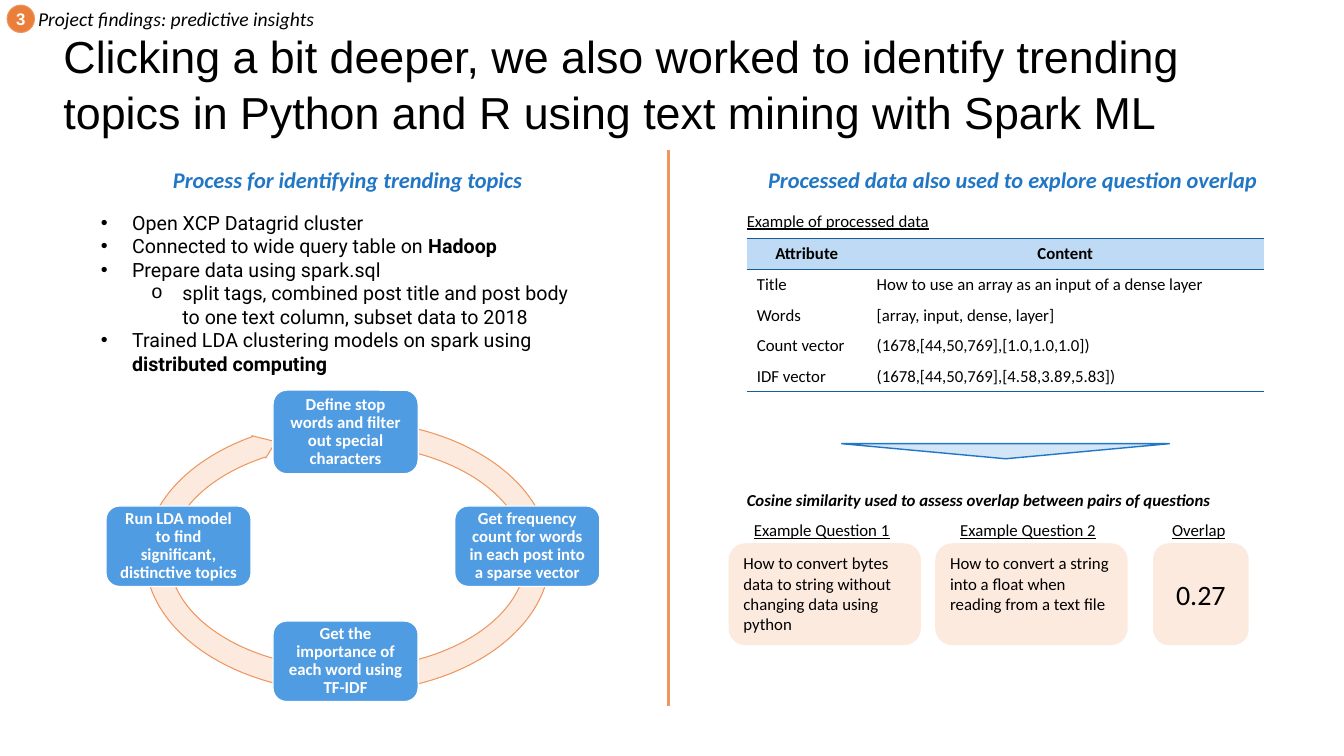
from dataclasses import dataclass

from lxml.etree import SubElement
from pptx import Presentation
from pptx.dml.color import RGBColor
from pptx.enum.shapes import MSO_CONNECTOR as Line, MSO_SHAPE as Kind
from pptx.enum.text import MSO_ANCHOR as Anchor, MSO_AUTO_SIZE as Fit, PP_ALIGN as Align
from pptx.oxml.ns import qn
from pptx.util import Cm, Pt

BLACK = RGBColor(0x00, 0x00, 0x00)
WHITE = RGBColor(0xFF, 0xFF, 0xFF)
BLUE = RGBColor(0x21, 0x76, 0xC5)
NAVY = RGBColor(0x19, 0x5C, 0x99)
SKY = RGBColor(0x50, 0x9C, 0xE2)
PALE = RGBColor(0xD3, 0xE6, 0xF8)
HEADER = RGBColor(0xBE, 0xDA, 0xF4)
ORANGE = RGBColor(0xEE, 0x96, 0x5E)
BADGE = RGBColor(0xEA, 0x7F, 0x3B)
PEACH = RGBColor(0xFC, 0xEA, 0xDF)


@dataclass
class Box:
    left: float
    top: float
    width: float
    height: float

    def place(self):
        return Cm(self.left), Cm(self.top), Cm(self.width), Cm(self.height)


@dataclass
class Style:
    size: float = 12
    color: RGBColor = BLACK
    font: str = "Calibri"
    bold: bool = False
    italic: bool = False
    under: bool = False
    align: Align = Align.LEFT


@dataclass
class Label:
    text: str
    box: Box
    style: Style
    wrap: bool = True


@dataclass
class Node:
    text: str
    box: Box
    inset: float


@dataclass
class Card:
    text: str
    left: float
    width: float
    style: Style
    anchor: Anchor = Anchor.TOP


@dataclass
class Bullet:
    text: str
    strong: str = ""
    level: int = 0


def dress(run, style: Style):
    font = run.font
    font.size, font.name = Pt(style.size), style.font
    font.bold, font.italic, font.underline = style.bold, style.italic, style.under
    font.color.rgb = style.color


def write(frame, text: str, style: Style):
    frame.text = text
    para = frame.paragraphs[0]
    para.alignment = style.align
    dress(para.runs[0], style)
    return para


def draw_label(slide, label: Label):
    frame = slide.shapes.add_textbox(*label.box.place()).text_frame
    frame.word_wrap = label.wrap
    frame.auto_size = Fit.SHAPE_TO_FIT_TEXT
    write(frame, label.text, label.style)


def draw_shape(slide, kind: Kind, box: Box, fill: RGBColor, edge: RGBColor = None, width: float = 1):
    shape = slide.shapes.add_shape(kind, *box.place())
    shape.shadow.inherit = False
    shape.fill.solid()
    shape.fill.fore_color.rgb = fill
    if edge is None:
        shape.line.fill.background()
    else:
        shape.line.color.rgb = edge
        shape.line.width = Pt(width)
    return shape


def pad(frame, inset: float):
    frame.margin_left = frame.margin_right = Cm(inset)
    frame.margin_top = frame.margin_bottom = Cm(inset)


def draw_node(slide, node: Node):
    frame = draw_shape(slide, Kind.ROUNDED_RECTANGLE, node.box, SKY, WHITE).text_frame
    frame.word_wrap = True
    pad(frame, node.inset)
    frame.vertical_anchor = Anchor.MIDDLE
    write(frame, node.text, Style(color=WHITE, bold=True, align=Align.CENTER)).line_spacing = 0.9


def draw_card(slide, card: Card):
    box = Box(card.left, 13.69, card.width, 2.57)
    frame = draw_shape(slide, Kind.ROUNDED_RECTANGLE, box, PEACH).text_frame
    frame.word_wrap = True
    frame.vertical_anchor = card.anchor
    write(frame, card.text, card.style)


def draw_bullet(para, item: Bullet):
    para.level = item.level
    props = para._p.get_or_add_pPr()
    props.set("marL", str(Cm(0.79 + 1.27 * item.level)))
    props.set("indent", str(-Cm(0.79)))
    face, mark = ("Courier New", "o") if item.level else ("Arial", "•")
    SubElement(props, qn("a:buFont")).set("typeface", face)
    SubElement(props, qn("a:buChar")).set("char", mark)
    for text, bold in ((item.text, False), (item.strong, True)):
        if text:
            run = para.add_run()
            run.text = text
            dress(run, Style(14, font="Roboto", bold=bold))


def rule_cell(cell, sides: list[str]):
    props = cell._tc.get_or_add_tcPr()
    for spot, side in enumerate(sides):
        edge = SubElement(props, qn(f"a:{side}"), w=str(Pt(1)))
        fill = SubElement(edge, qn("a:solidFill"))
        SubElement(fill, qn("a:srgbClr"), val=str(NAVY))
        props.insert(spot, edge)


def draw_table(slide, rows: list[tuple[str, str]]):
    place = Box(18.82, 6.02, 13.03, 0.77 * len(rows)).place()
    table = slide.shapes.add_table(len(rows), 2, *place).table
    table.first_row = table.horz_banding = False
    table._tbl.tblPr.find(qn("a:tableStyleId")).text = "{2D5ABB26-0587-4C30-8999-92F81FD0307C}"
    for col, width in zip(table.columns, (3.02, 10.01)):
        col.width = Cm(width)
    for i, row in enumerate(rows):
        for j, text in enumerate(row):
            cell, head = table.cell(i, j), i == 0
            align = Align.CENTER if head else Align.LEFT
            write(cell.text_frame, text, Style(bold=head, align=align))
            if head:
                cell.fill.solid()
                cell.fill.fore_color.rgb = HEADER
                rule_cell(cell, ["lnT", "lnB"])
            else:
                cell.fill.background()
                rule_cell(cell, ["lnB"] if i == len(rows) - 1 else [])


HEAD = Style(16, BLUE, bold=True, italic=True)
MID = Style(16, BLUE, bold=True, italic=True, align=Align.CENTER)
UNDER = Style(under=True)
LABELS = [
    Label("Process for identifying trending topics", Box(4.11, 4.06, 10.92, 0.94), HEAD),
    Label("Processed data also used to explore question overlap", Box(18.14, 4.06, 14.76, 0.94), MID),
    Label("Example of processed data", Box(18.57, 5.18, 5.38, 0.76), UNDER, False),
    Label("Cosine similarity used to assess overlap between pairs of questions",
          Box(18.57, 12.22, 12.42, 0.76), Style(bold=True, italic=True)),
    Label("Example Question 1", Box(18.75, 12.98, 4.04, 0.76), UNDER, False),
    Label("Example Question 2", Box(23.95, 12.98, 4.09, 0.76), UNDER, False),
    Label("Overlap", Box(29.29, 12.98, 1.93, 0.76), UNDER, False),
    Label("Project findings: predictive insights", Box(0.71, 0.05, 7.65, 0.86), Style(14, italic=True), False),
]
NODES = [
    Node("Define stop words and filter out special characters", Box(6.88, 9.83, 3.66, 2.11), 0.15),
    Node("Get frequency count for words in each post into a sparse vector", Box(11.46, 12.75, 3.66, 2.03), 0.18),
    Node("Get the importance of each word using TF-IDF", Box(6.88, 15.65, 3.66, 2.03), 0.2),
    Node("Run LDA model to find significant, distinctive topics", Box(2.67, 12.75, 3.66, 2.03), 0.18),
]
CARDS = [
    Card("How to convert bytes data to string without changing data using python", 18.36, 4.85, Style()),
    Card("How to convert a string into a float when reading from a text file", 23.57, 4.85, Style()),
    Card("0.27", 29.06, 2.41, Style(20, align=Align.CENTER), Anchor.MIDDLE),
]
STEPS = [
    Bullet("Open XCP Datagrid cluster"),
    Bullet("Connected to wide query table on ", "Hadoop"),
    Bullet("Prepare data using spark.sql"),
    Bullet("split tags, combined post title and post body to one text column, subset data to 2018", level=1),
    Bullet("Trained LDA clustering models on spark using ", "distributed computing"),
]
ROWS = [
    ("Attribute", "Content"),
    ("Title", "How to use an array as an input of a dense layer"),
    ("Words", "[array, input, dense, layer]"),
    ("Count vector", "(1678,[44,50,769],[1.0,1.0,1.0])"),
    ("IDF vector", "(1678,[44,50,769],[4.58,3.89,5.83])"),
]


def main():
    deck = Presentation()
    deck.slide_width, deck.slide_height = Cm(33.87), Cm(19.05)
    slide = deck.slides.add_slide(deck.slide_layouts[6])

    # Title
    frame = slide.shapes.add_textbox(*Box(1.35, 0.97, 30.99, 2.21).place()).text_frame
    frame.word_wrap = True
    frame.vertical_anchor = Anchor.MIDDLE
    title = write(frame, "Clicking a bit deeper, we also worked to identify trending topics "
                  "in Python and R using text mining with Spark ML", Style(32, font="Arial"))
    title.line_spacing = 1.05

    # Divider
    rule = slide.shapes.add_connector(Line.STRAIGHT, Cm(16.84), Cm(3.78), Cm(16.84), Cm(17.78))
    rule.line.color.rgb = ORANGE
    rule.line.width = Pt(2.25)
    SubElement(rule._element.spPr, qn("a:effectLst"))

    # Steps and cycle
    frame = slide.shapes.add_textbox(*Box(2.29, 5.18, 12.45, 4.45).place()).text_frame
    frame.word_wrap = True
    for i, step in enumerate(STEPS):
        draw_bullet(frame.add_paragraph() if i else frame.paragraphs[0], step)
    ring = draw_shape(slide, Kind.CIRCULAR_ARROW, Box(3.63, 10.57, 10.26, 6.91), PEACH, ORANGE, 0.75)
    for i, value in enumerate((0.087, 4.204, 138.601, 172.868, 0.048)):
        ring.adjustments[i] = value
    for node in NODES:
        draw_node(slide, node)

    # Processed data and overlap
    draw_table(slide, ROWS)
    draw_shape(slide, Kind.ISOSCELES_TRIANGLE, Box(21.21, 11.18, 8.26, 0.38), PALE, BLUE).rotation = 180
    for card in CARDS:
        draw_card(slide, card)

    # Section badge and labels
    badge = draw_shape(slide, Kind.OVAL, Box(0.18, 0.13, 0.69, 0.69), BADGE, ORANGE, 0.75).text_frame
    pad(badge, 0.05)
    badge.word_wrap = False
    write(badge, "3", Style(color=WHITE, font="Arial", bold=True, align=Align.CENTER))
    for label in LABELS:
        draw_label(slide, label)
    deck.save("out.pptx")


if __name__ == "__main__":
    main()
